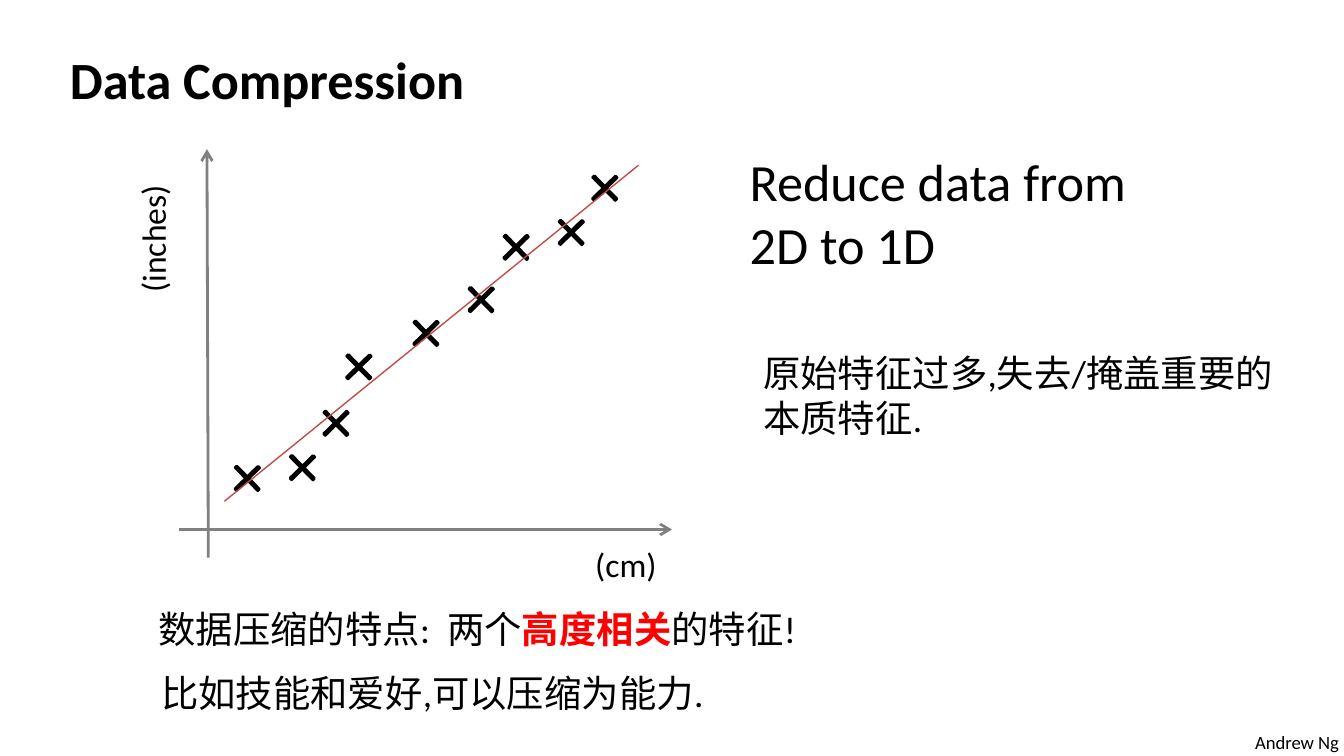
from lxml import etree
from pptx import Presentation
from pptx.dml.color import RGBColor
from pptx.enum.shapes import MSO_CONNECTOR as Connector, MSO_SHAPE as Shape
from pptx.enum.text import MSO_ANCHOR as Anchor, MSO_AUTO_SIZE as AutoSize, PP_ALIGN as Align
from pptx.oxml.ns import qn
from pptx.util import Inches, Pt

color = RGBColor.from_string
BLACK, GRAY, RED, TREND = "000000", "808080", "FF0000", "BF4C48"


def write(box, lines, size, bold=False, wrap=True):
    """Fill a box with one paragraph per line, in one font."""
    frame = box.text_frame
    frame.text = "\n".join(lines)
    frame.word_wrap = wrap
    frame.auto_size = AutoSize.NONE
    frame.vertical_anchor = Anchor.TOP
    for para in frame.paragraphs:
        para.alignment = Align.LEFT
        para.font.name = "Calibri"
        para.font.size = Pt(size)
        para.font.bold = bold
        para.font.color.rgb = color(BLACK)


def draw_line(start, end, hex_color, width, arrow=False):
    line = page.shapes.add_connector(
        Connector.STRAIGHT, *(Inches(value) for value in start + end))
    line.line.color.rgb = color(hex_color)
    line.line.width = Pt(width)
    if arrow:
        etree.SubElement(line.line._get_or_add_ln(), qn("a:tailEnd"), type="arrow")
    etree.SubElement(line._element.spPr, qn("a:effectLst"))


deck = Presentation()
deck.slide_width = Inches(10)
deck.slide_height = Inches(10 * 9 / 16)
page = deck.slides.add_slide(deck.slide_layouts[5])

title = page.shapes.title
title.left, title.top = Inches(0.42), Inches(0.3)
title.width, title.height = Inches(9.08), Inches(0.57)
write(title, ["Data Compression"], 28, bold=True)

# Axes
draw_line((1.55, 4.15), (1.54, 1.11), GRAY, 1.5, arrow=True)
draw_line((1.33, 3.94), (5, 3.94), GRAY, 1.5, arrow=True)

# Data points, by the corner of each cross
points = [(1.72, 3.44), (2.13, 3.36), (2.38, 3.03), (2.55, 2.61), (3.05, 2.36),
          (3.46, 2.11), (3.72, 1.72), (4.13, 1.61), (4.38, 1.28)]
for left, top in points:
    cross = page.shapes.add_shape(
        Shape.CROSS, Inches(left), Inches(top), Inches(0.24), Inches(0.24))
    cross.adjustments[0] = 0.466
    cross.rotation = 45.6
    cross.shadow.inherit = False
    cross.fill.solid()
    cross.fill.fore_color.rgb = color(BLACK)
    cross.line.color.rgb = color(BLACK)
    cross.line.width = Pt(1.5)

draw_line((1.67, 3.73), (4.75, 1.23), TREND, 0.75)

# left, top, width, height, size, rotation, wrap, lines
texts = [
    (0.56, 1.5, 1.15, 0.4, 18, 270, True, ["(inches)"]),
    (4.33, 4, 1.15, 0.4, 18, 0, True, ["(cm)"]),
    (5.48, 1.06, 4.1, 1.04, 28, 0, True, ["Reduce data from", "2D to 1D"]),
    (5.58, 2.56, 4.03, 0.77, 20, 0, True, ["原始特征过多,失去/掩盖重要的", "本质特征."]),
    (1.1, 4.94, 4.27, 0.44, 20, 0, True, ["比如技能和爱好,可以压缩为能力."]),
    (9.24, 5.39, 0.84, 0.27, 10, 0, False, ["Andrew Ng"]),
    (1.08, 4.46, 5.2, 0.77, 20, 0, True, ["数据压缩的特点:  两个"]),
]
for left, top, width, height, size, rotation, wrap, lines in texts:
    box = page.shapes.add_textbox(
        Inches(left), Inches(top), Inches(width), Inches(height))
    box.rotation = rotation
    write(box, lines, size, wrap=wrap)

# The last box goes on with a highlighted phrase
para = box.text_frame.paragraphs[0]
span = para.add_run()
span.text = "高度相关"
span.font.bold = True
span.font.color.rgb = color(RED)
para.add_run().text = "的特征!"

deck.save("out.pptx")
